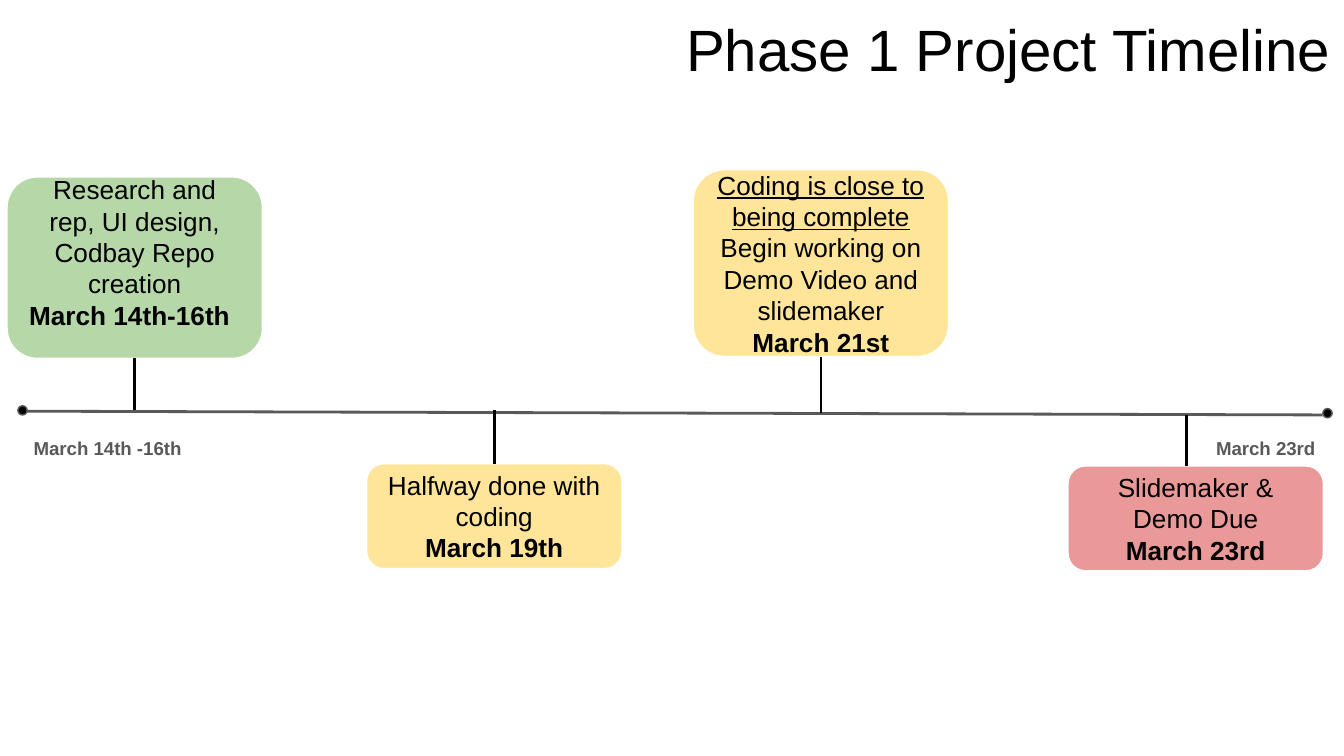
from lxml.etree import SubElement
from pptx import Presentation
from pptx.dml.color import RGBColor
from pptx.enum.shapes import MSO_CONNECTOR, MSO_SHAPE
from pptx.enum.text import MSO_ANCHOR, PP_ALIGN
from pptx.oxml.ns import qn
from pptx.util import Pt

BLACK = RGBColor(0x00, 0x00, 0x00)
WHITE = RGBColor(0xFF, 0xFF, 0xFF)
GRAY = RGBColor(0x59, 0x59, 0x59)
GREEN = RGBColor(0xB6, 0xD7, 0xA8)
YELLOW = RGBColor(0xFF, 0xE5, 0x99)
RED = RGBColor(0xEA, 0x99, 0x99)

TOP, BOTTOM = 0, 2  # connection sites


class Timeline:
    font = "Arial"
    inset = 7.2
    card_width = 136.8
    card_size = 14
    dot_size = 5

    def __init__(self, slide):
        self.slide = slide

    def frame(self, sp, bottom=inset):
        tf = sp.text_frame
        tf.word_wrap = True
        tf.margin_left = tf.margin_right = tf.margin_top = Pt(self.inset)
        tf.margin_bottom = Pt(bottom)
        return tf

    def style(self, p, size, color, align, bold=False):
        p.alignment = align
        p.font.name = self.font
        p.font.size = Pt(size)
        p.font.bold = bold
        p.font.color.rgb = color

    def text(self, x, y, w, h, text, size, color, align=PP_ALIGN.LEFT, bold=False):
        sp = self.slide.shapes.add_textbox(Pt(x), Pt(y), Pt(w), Pt(h))
        p = self.frame(sp).paragraphs[0]
        p.add_run().text = text
        self.style(p, size, color, align, bold)

    def shape(self, kind, x, y, w, h, fill, line):
        sp = self.slide.shapes.add_shape(kind, Pt(x), Pt(y), Pt(w), Pt(h))
        sp.shadow.inherit = False
        sp.fill.solid()
        sp.fill.fore_color.rgb = fill
        sp.line.color.rgb = line
        sp.line.width = Pt(0.75)
        return sp

    def card(self, x, y, h, fill, task, date, lead="",
             date_align=PP_ALIGN.CENTER, bottom=inset):
        sp = self.shape(MSO_SHAPE.FLOWCHART_ALTERNATE_PROCESS,
                        x, y, self.card_width, h, fill, WHITE)
        tf = self.frame(sp, bottom)
        tf.vertical_anchor = MSO_ANCHOR.MIDDLE
        p = tf.paragraphs[0]
        self.style(p, self.card_size, BLACK, PP_ALIGN.CENTER)
        if lead:
            r = p.add_run()
            r.text = lead
            r.font.underline = True
        p.add_run().text = task
        p = tf.add_paragraph()
        self.style(p, self.card_size, BLACK, date_align, bold=True)
        p.add_run().text = date
        return sp

    def dot(self, x, y):
        self.shape(MSO_SHAPE.OVAL, x, y, self.dot_size, self.dot_size, BLACK, GRAY)

    def line(self, x1, y1, x2, y2, color=BLACK):
        cn = self.slide.shapes.add_connector(
            MSO_CONNECTOR.STRAIGHT, Pt(x1), Pt(y1), Pt(x2), Pt(y2))
        cn.line.color.rgb = color
        cn.line.width = Pt(1.5)
        SubElement(cn._element.spPr, qn("a:effectLst"))
        return cn

    def stem(self, card, site, x, y):
        self.line(x, y, x, y).end_connect(card, site)


def main():
    prs = Presentation()
    prs.slide_width, prs.slide_height = Pt(720), Pt(405)
    s = Timeline(prs.slides.add_slide(prs.slide_layouts[6]))

    # Title
    s.text(49, 0, 670.8, 45, "Phase 1 Project Timeline", 31.2, BLACK, PP_ALIGN.RIGHT)

    # Milestone cards
    research = s.card(3.8, 94.8, 97.2, GREEN,
                      "Research and rep, UI design, Codbay Repo creation",
                      "March 14th-16th", date_align=PP_ALIGN.LEFT, bottom=24)
    s.card(572.2, 249.6, 56.2, RED, "Slidemaker & Demo Due", "March 23rd")
    halfway = s.card(196.4, 248.4, 56.2, YELLOW,
                     "Halfway done with coding", "March 19th")
    closing = s.card(371.4, 91, 100, YELLOW,
                     " Begin working on Demo Video and slidemaker", "March 21st",
                     lead="Coding is close to being complete")

    # Time axis with its end dates
    s.line(11.5, 220.3, 708.5, 222.3, GRAY)
    s.text(10.9, 227.8, 99.4, 26.6, "March 14th -16th", 10, GRAY, bold=True)
    s.text(644.4, 227.8, 69.8, 26.6, "March 23rd", 10, GRAY, bold=True)
    s.dot(9.6, 217.4)
    s.dot(708.7, 218.9)

    # Stems from the axis to the cards
    s.stem(research, BOTTOM, 72.2, 219.6)
    s.stem(halfway, TOP, 264.8, 219.6)
    s.stem(closing, BOTTOM, 439.8, 221.2)
    s.line(635.6, 222.5, 635.6, 249.6)

    prs.save("out.pptx")


if __name__ == "__main__":
    main()
